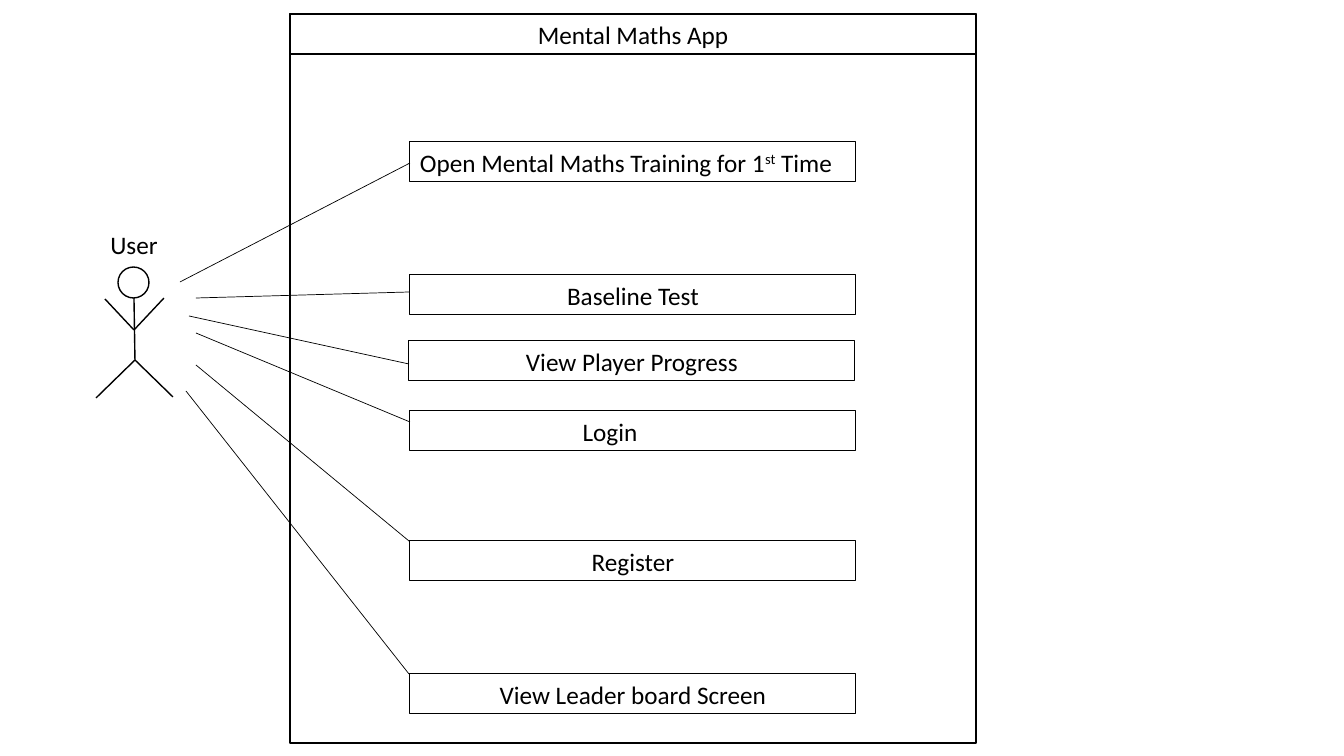
from lxml import etree
from pptx import Presentation
from pptx.dml.color import RGBColor
from pptx.enum.shapes import MSO_CONNECTOR, MSO_SHAPE
from pptx.enum.text import MSO_ANCHOR, PP_ALIGN
from pptx.oxml.ns import qn
from pptx.util import Pt

SCALE = 914400 / 100.8
RECT, OVAL = MSO_SHAPE.RECTANGLE, MSO_SHAPE.OVAL
STRAIGHT = MSO_CONNECTOR.STRAIGHT
LEFT, CENTER = PP_ALIGN.LEFT, PP_ALIGN.CENTER
MIDDLE = MSO_ANCHOR.MIDDLE
BLACK, WHITE = "000000", "FFFFFF"
FRAME_X, FRAME_Y, FRAME_W, FRAME_H = 290, 14, 686, 729
CASE_W, ROW_H = 446, 40
PAD_X, PAD_Y = 10, 5

CASES = [
    (410, 142, ["Open Mental Maths Training for 1", "st", " Time"], LEFT, PAD_X),
    (410, 275, ["Baseline Test"], CENTER, PAD_X),
    (409, 341, ["View Player Progress"], CENTER, PAD_X),
    (410, 411, ["Login"], CENTER, 56),
    (410, 541, ["Register"], CENTER, PAD_X),
    (410, 674, ["View Leader board Screen"], CENTER, PAD_X),
]
LINKS = [
    (180, 282, 410, 163),
    (196, 298, 410, 292),
    (189, 316, 409, 364),
    (196, 333, 410, 422),
    (196, 365, 409, 541),
    (186, 391, 409, 674),
]
LIMBS = [
    (134, 298, 135, 360),
    (135, 360, 96, 398),
    (135, 360, 173, 397),
    (134, 330, 164, 298),
    (134, 330, 105, 299),
]


def px(*sizes):
    """Turn pixels into a list of EMU lengths."""
    return [round(size * SCALE) for size in sizes]


def color(code):
    """Turn a hex string into a colour."""
    return RGBColor.from_string(code)


def write(shape, parts, align=CENTER, right=PAD_X):
    """Write one line of text, with every second part raised."""
    frame = shape.text_frame
    frame.word_wrap = True
    frame.vertical_anchor = MIDDLE
    frame.margin_left, frame.margin_right = px(PAD_X, right)
    frame.margin_top, frame.margin_bottom = px(PAD_Y, PAD_Y)
    para = frame.paragraphs[0]
    para.alignment = align
    para.font.size = Pt(18)
    para.font.name = "Calibri"
    para.font.color.rgb = color(BLACK)
    for index, part in enumerate(parts):
        run = para.add_run()
        run.text = part
        if index % 2:
            run._r.get_or_add_rPr().set("baseline", "30000")


def add_box(slide, kind, box, width, fill=None):
    """Add an outlined shape, filled only when a colour is given."""
    shape = slide.shapes.add_shape(kind, *px(*box))
    shape.shadow.inherit = False
    if fill:
        shape.fill.solid()
        shape.fill.fore_color.rgb = color(fill)
    else:
        shape.fill.background()
    shape.line.color.rgb = color(BLACK)
    shape.line.width = Pt(width)
    return shape


def add_line(slide, ends, width):
    """Add a plain straight line."""
    line = slide.shapes.add_connector(STRAIGHT, *px(*ends))
    line.line.color.rgb = color(BLACK)
    line.line.width = Pt(width)
    etree.SubElement(line._element.spPr, qn("a:effectLst"))


def add_user(slide):
    """Draw the stick figure and its label."""
    add_box(slide, OVAL, (118, 267, 31, 31), 1, WHITE)
    for limb in LIMBS:
        add_line(slide, limb, 1)
    label = slide.shapes.add_textbox(*px(79, 224, 110, ROW_H))
    write(label, ["User"])


def main():
    """Build the use case slide and save it."""
    deck = Presentation()
    deck.slide_width, deck.slide_height = px(1344, 756)
    slide = deck.slides.add_slide(deck.slide_layouts[6])
    add_box(slide, RECT, (FRAME_X, FRAME_Y, FRAME_W, FRAME_H), 1, WHITE)
    title = add_box(slide, RECT, (FRAME_X, FRAME_Y, FRAME_W, ROW_H), 1)
    write(title, ["Mental Maths App"])
    for left, top, parts, align, right in CASES:
        case = add_box(slide, RECT, (left, top, CASE_W, ROW_H), 0.75)
        write(case, parts, align, right)
    add_user(slide)
    for link in LINKS:
        add_line(slide, link, 0.5)
    deck.save("out.pptx")


main()
